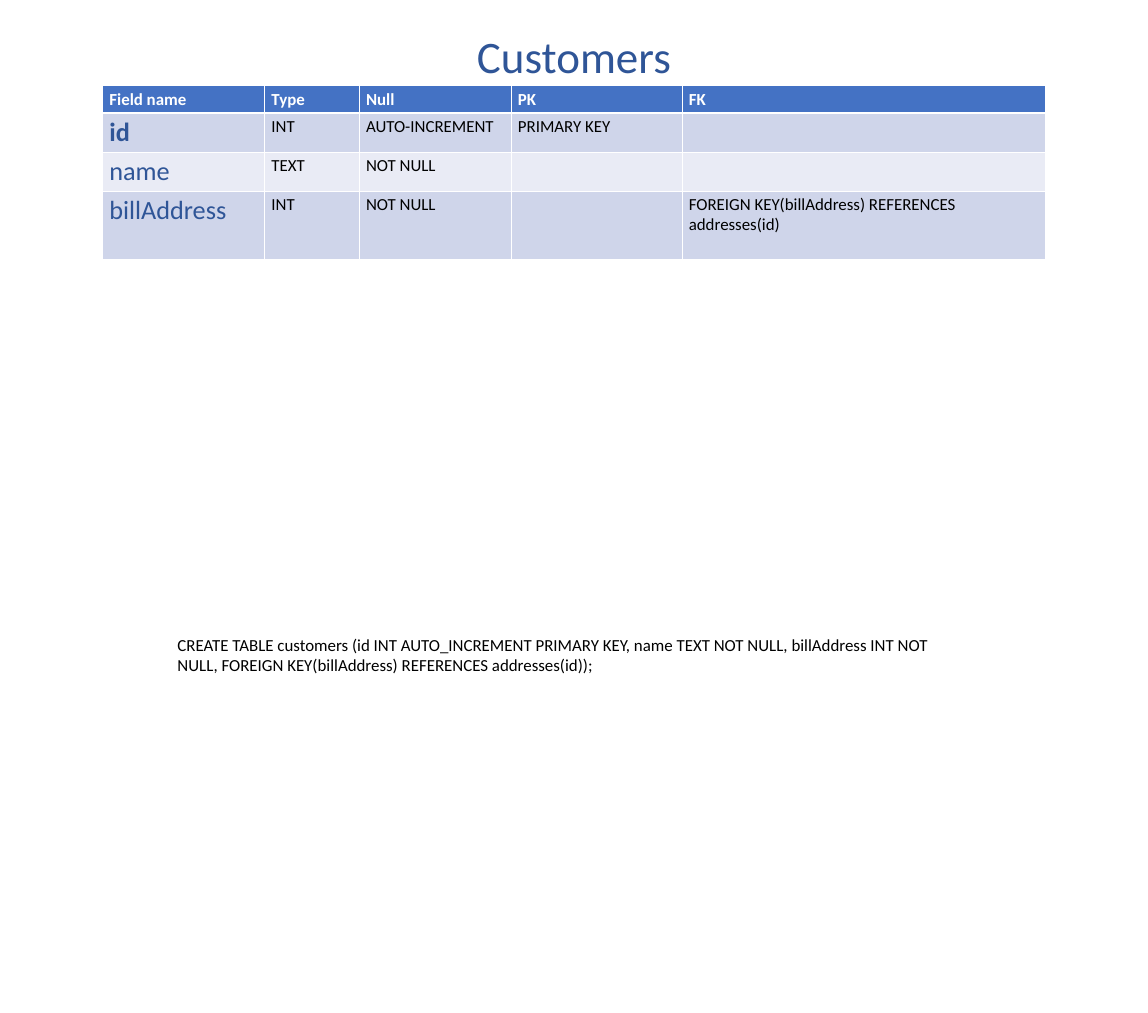
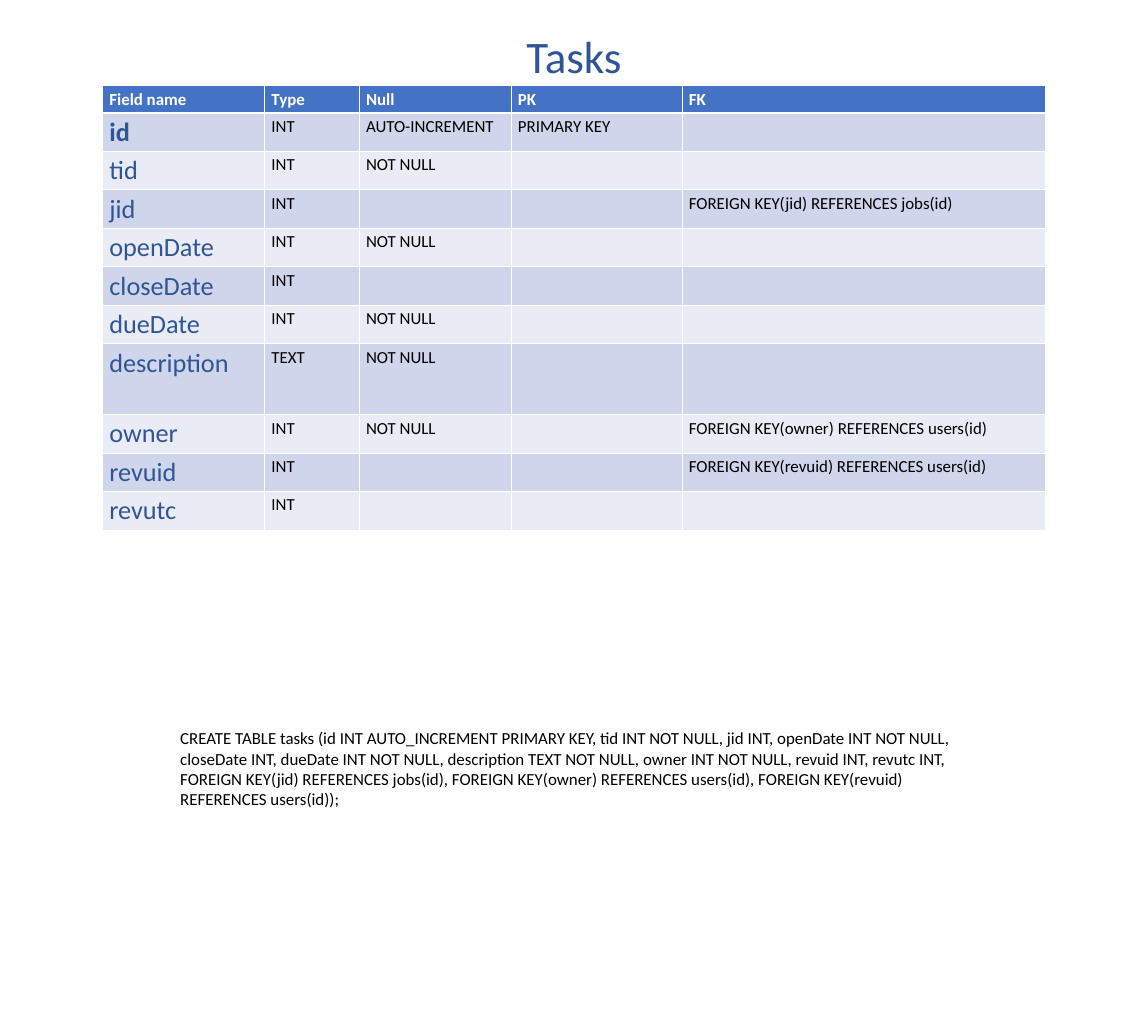
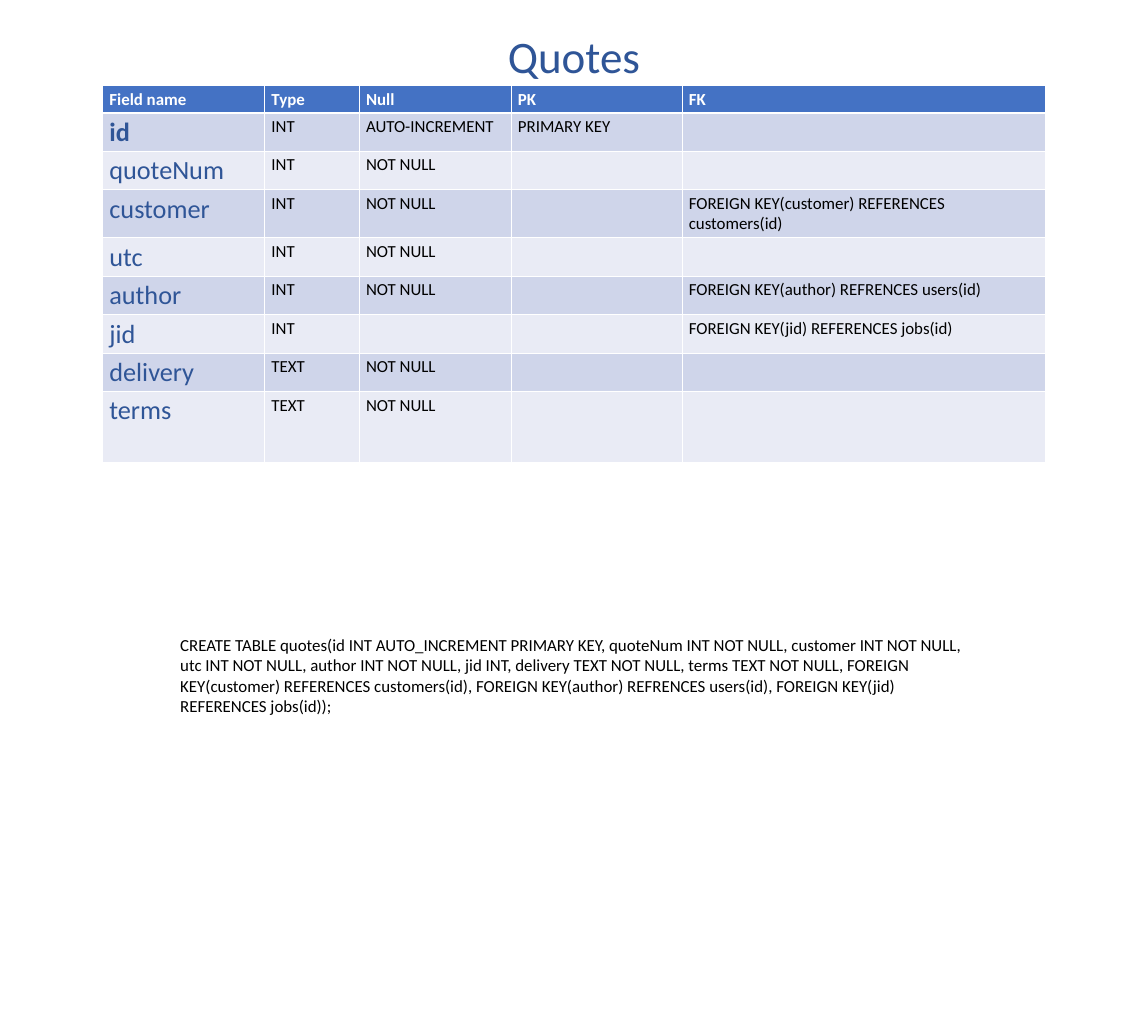
from lxml import etree
from pptx import Presentation
from pptx.dml.color import RGBColor
from pptx.enum.text import MSO_AUTO_SIZE, PP_ALIGN
from pptx.oxml.ns import qn
from pptx.util import Emu, Pt

CENTER = PP_ALIGN.CENTER
LEFT = PP_ALIGN.LEFT
FIT = MSO_AUTO_SIZE.SHAPE_TO_FIT_TEXT

SCALE = 9144
SLIDE_W, SLIDE_H = 1700, 1500
TABLE_X, TABLE_Y = 152, 127
COLS = [240, 140, 225, 253, 538]
HEAD_H, ROW_H = 40, 57
TITLE_Y, TITLE_H = 37, 91
CODE_Y, CODE_W = 935, 1185

COLORS = {
    "white": "FFFFFF",
    "black": "000000",
    "header": "4472C4",
    "odd": "CFD5EA",
    "even": "E9EBF5",
    "accent": "2F5597",
}
STYLES = {
    "title": {"size": Pt(48), "color": "accent"},
    "header": {"size": Pt(18), "color": "white", "bold": True},
    "key": {"size": Pt(28), "color": "accent", "bold": True},
    "field": {"size": Pt(28), "color": "accent", "bold": False},
    "body": {"size": Pt(18), "color": "black", "bold": False},
}

HEADER = ["Field name", "Type", "Null", "PK", "FK"]
ID_ROW = ["id", "INT", "AUTO-INCREMENT", "PRIMARY KEY", ""]

CUSTOMERS = [
    ("name", "TEXT", "NOT NULL", ""),
    ("billAddress", "INT", "NOT NULL",
     "FOREIGN KEY(billAddress) REFERENCES addresses(id)"),
]
TASKS = [
    ("tid", "INT", "NOT NULL", ""),
    ("jid", "INT", "", "FOREIGN KEY(jid) REFERENCES jobs(id)"),
    ("openDate", "INT", "NOT NULL", ""),
    ("closeDate", "INT", "", ""),
    ("dueDate", "INT", "NOT NULL", ""),
    ("description", "TEXT", "NOT NULL", ""),
    ("owner", "INT", "NOT NULL", "FOREIGN KEY(owner) REFERENCES users(id)"),
    ("revuid", "INT", "", "FOREIGN KEY(revuid) REFERENCES users(id)"),
    ("revutc", "INT", "", ""),
]
QUOTES = [
    ("quoteNum", "INT", "NOT NULL", ""),
    ("customer", "INT", "NOT NULL",
     "FOREIGN KEY(customer) REFERENCES customers(id)"),
    ("utc", "INT", "NOT NULL", ""),
    ("author", "INT", "NOT NULL", "FOREIGN KEY(author) REFRENCES users(id)"),
    ("jid", "INT", "", "FOREIGN KEY(jid) REFERENCES jobs(id)"),
    ("delivery", "TEXT", "NOT NULL", ""),
    ("terms", "TEXT", "NOT NULL", ""),
]
ROW_HEIGHTS = {"billAddress": 101, "description": 105, "customer": 71, "terms": 105}

CUSTOMERS_SQL = (
    "CREATE TABLE customers (id INT AUTO_INCREMENT PRIMARY KEY, "
    "name TEXT NOT NULL, billAddress INT NOT NULL, "
    "FOREIGN KEY(billAddress) REFERENCES addresses(id));"
)
TASKS_SQL = (
    "CREATE TABLE tasks (id INT AUTO_INCREMENT PRIMARY KEY, tid INT NOT NULL, "
    "jid INT, openDate INT NOT NULL, closeDate INT, dueDate INT NOT NULL, "
    "description TEXT NOT NULL, owner INT NOT NULL, revuid INT, revutc INT, "
    "FOREIGN KEY(jid) REFERENCES jobs(id), "
    "FOREIGN KEY(owner) REFERENCES users(id), "
    "FOREIGN KEY(revuid) REFERENCES users(id));"
)
QUOTES_SQL = (
    "CREATE TABLE quotes(id INT AUTO_INCREMENT PRIMARY KEY, "
    "quoteNum INT NOT NULL, customer INT NOT NULL, utc INT NOT NULL, "
    "author INT NOT NULL, jid INT, delivery TEXT NOT NULL, "
    "terms TEXT NOT NULL, FOREIGN KEY(customer) REFERENCES customers(id), "
    "FOREIGN KEY(author) REFRENCES users(id), "
    "FOREIGN KEY(jid) REFERENCES jobs(id));"
)


def px(n):
    return Emu(n * SCALE)


def rgb(name):
    return RGBColor.from_string(COLORS[name])


def write(tf, text, style):
    p = tf.paragraphs[0]
    r = p.add_run()
    r.text = text
    r.font.name = "Calibri"
    for key, value in STYLES[style].items():
        if key == "color":
            r.font.color.rgb = rgb(value)
        else:
            setattr(r.font, key, value)
    return p


def add_text(s, x, y, w, h, text, style, align=LEFT):
    tf = s.shapes.add_textbox(px(x), px(y), px(w), px(h)).text_frame
    tf.word_wrap = True
    tf.auto_size = FIT
    write(tf, text, style).alignment = align


def set_borders(cell, widths):
    tc_pr = cell._tc.get_or_add_tcPr()
    for side, width in widths.items():
        ln = etree.SubElement(tc_pr, qn(f"a:ln{side}"), w=str(Pt(width)))
        fill = etree.SubElement(ln, qn("a:solidFill"))
        etree.SubElement(fill, qn("a:srgbClr"), val=COLORS["white"])


def cell_style(row, col):
    if row == 0:
        return "header"
    if col:
        return "body"
    return "key" if row == 1 else "field"


def add_schema(s, fields):
    rows = [HEADER, ID_ROW]
    rows += [[name, kind, null, "", fk] for name, kind, null, fk in fields]
    heights = [HEAD_H] + [ROW_HEIGHTS.get(row[0], ROW_H) for row in rows[1:]]
    table = s.shapes.add_table(
        len(rows), len(COLS), px(TABLE_X), px(TABLE_Y),
        px(sum(COLS)), px(sum(heights))).table
    for col, width in zip(table.columns, COLS):
        col.width = px(width)
    for i, (row, height) in enumerate(zip(rows, heights)):
        table.rows[i].height = px(height)
        fill = "header" if i == 0 else "odd" if i % 2 else "even"
        borders = {"L": 1, "R": 1, "T": 1, "B": 3} if i == 0 else {"L": 1, "R": 1, "B": 1}
        for j, text in enumerate(row):
            cell = table.cell(i, j)
            set_borders(cell, borders)
            cell.fill.solid()
            cell.fill.fore_color.rgb = rgb(fill)
            if text:
                write(cell.text_frame, text, cell_style(i, j))


def add_slide(prs, title, title_w, fields, sql, sql_x, sql_y, sql_h):
    s = prs.slides.add_slide(prs.slide_layouts[6])
    add_schema(s, fields)
    add_text(s, (SLIDE_W - title_w) // 2, TITLE_Y, title_w, TITLE_H, title, "title", CENTER)
    add_text(s, sql_x, sql_y, CODE_W, sql_h, sql, "body")


def main():
    prs = Presentation()
    prs.slide_width, prs.slide_height = px(SLIDE_W), px(SLIDE_H)
    add_slide(prs, "Customers", 310, CUSTOMERS, CUSTOMERS_SQL, 253, CODE_Y, 71)
    add_slide(prs, "Tasks", 260, TASKS, TASKS_SQL, 257, 1073, 131)
    add_slide(prs, "Quotes", 260, QUOTES, QUOTES_SQL, 257, CODE_Y, 131)
    prs.save("out.pptx")


if __name__ == "__main__":
    main()
